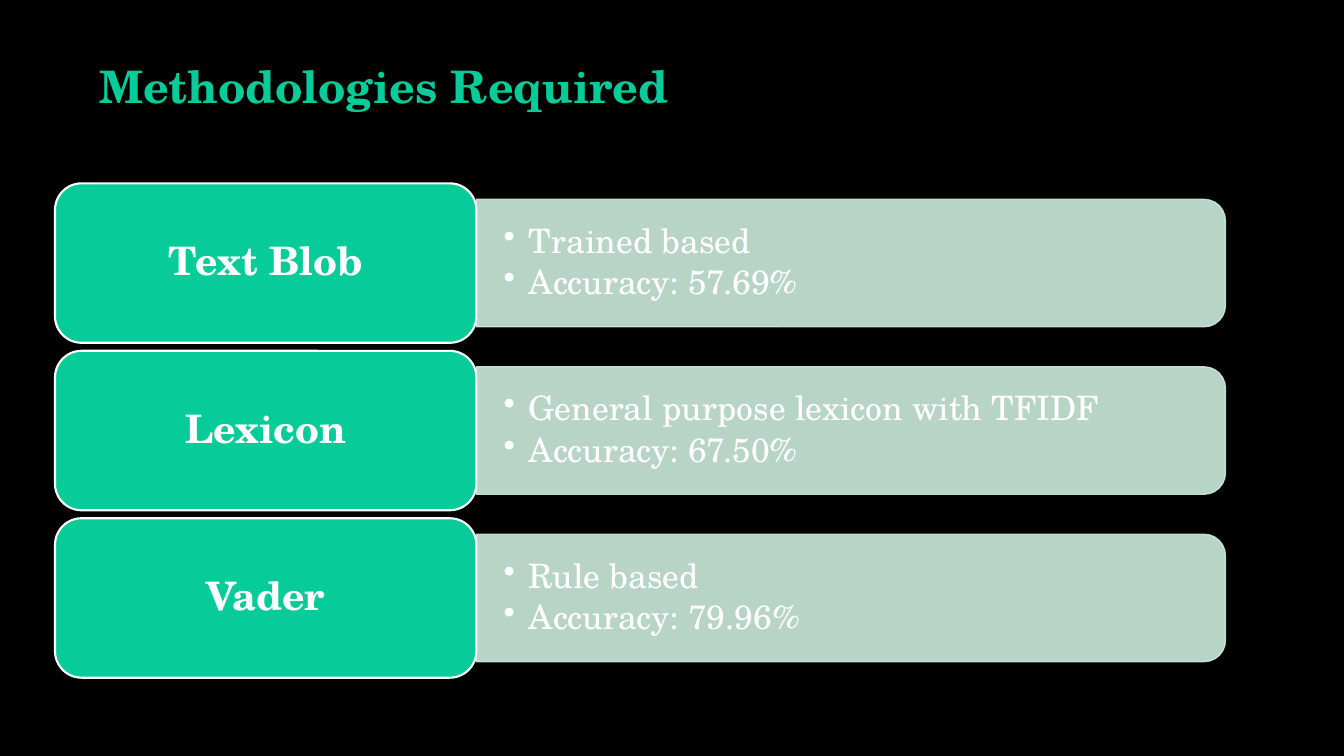
from pptx import Presentation
from pptx.dml.color import RGBColor
from pptx.enum import shapes, text
from pptx.oxml import ns
from pptx.util import Pt
from lxml import etree

FONT = "TeX Gyre Schola"
GREEN, MINT, WHITE, BLACK = "07CB98", "CCECDD", "FFFFFF", "000000"
METHODS = [
    ("Text Blob", ["Trained based", "Accuracy: 57.69%"]),
    ("Lexicon", ["General purpose lexicon with TFIDF", "Accuracy: 67.50%"]),
    ("Vader", ["Rule based", "Accuracy: 79.96%"]),
]
LABEL_LEFT, LABEL_WIDTH, LABEL_HEIGHT = 39.3, 301, 113.9
FIRST_TOP, ROW_PITCH = 131, 119.6
BAR_LEFT, BAR_WIDTH, BAR_HEIGHT = LABEL_LEFT + LABEL_WIDTH, 535, 91


def paint(color_format, color, opacity=100):
    """Set a solid fill's colour and opacity in percent."""
    color_format.solid()
    color_format.fore_color.rgb = RGBColor.from_string(color)
    if opacity < 100:
        color_element = color_format._xPr.find(ns.qn("a:solidFill"))[0]
        alpha = etree.SubElement(color_element, ns.qn("a:alpha"))
        alpha.set("val", str(opacity * 1000))


def add_block(slide, kind, box, fill, line, line_width, opacity=100):
    """Add a filled and outlined preset shape."""
    shape = slide.shapes.add_shape(kind, *map(Pt, box))
    shape.shadow.inherit = False
    paint(shape.fill, fill, opacity)
    paint(shape.line.fill, line, opacity)
    shape.line.width = Pt(line_width)
    return shape


def write(shape, lines, size, color, anchor, insets, space_after, bold=False,
          align=text.PP_ALIGN.LEFT):
    """Fill a shape with uniformly styled paragraphs and return them."""
    frame = shape.text_frame
    frame.word_wrap = True
    frame.vertical_anchor = anchor
    frame.margin_left = frame.margin_right = Pt(insets[0])
    frame.margin_top = frame.margin_bottom = Pt(insets[1])
    frame.text = "\n".join(lines)
    for paragraph in frame.paragraphs:
        paragraph.alignment = align
        paragraph.line_spacing = 0.9
        paragraph.space_after = Pt(space_after)
        paragraph.font.name = FONT
        paragraph.font.size = Pt(size)
        paragraph.font.bold = bold
        paragraph.font.color.rgb = RGBColor.from_string(color)
    return frame.paragraphs


def add_bullet(paragraph, indent):
    """Give a paragraph a hanging round bullet."""
    properties = paragraph._p.get_or_add_pPr()
    properties.set("marL", str(Pt(indent)))
    properties.set("indent", str(Pt(-indent)))
    bullet = etree.Element(ns.qn("a:buChar"), char="•")
    properties.find(ns.qn("a:defRPr")).addprevious(bullet)


def add_title(slide, title):
    """Add the slide heading."""
    shape = slide.shapes.add_textbox(Pt(64), Pt(0), Pt(756), Pt(84.2))
    write(shape, [title], 32, GREEN, text.MSO_ANCHOR.BOTTOM, (7.2, 3.6), 6, bold=True)


def add_details(slide, middle, details):
    """Add a bar rounded at its right end, with bullets on it."""
    turned_box = (BAR_LEFT + (BAR_WIDTH - BAR_HEIGHT) / 2, middle - BAR_WIDTH / 2,
                  BAR_HEIGHT, BAR_WIDTH)
    bar = add_block(slide, shapes.MSO_SHAPE.ROUND_2_SAME_RECTANGLE, turned_box,
                    MINT, MINT, 1, opacity=90)
    bar.rotation = 90
    height = 82
    box = (BAR_LEFT, middle - height / 2, BAR_WIDTH - 4, height)
    shape = slide.shapes.add_textbox(*map(Pt, box))
    for paragraph in write(shape, details, 24, WHITE, text.MSO_ANCHOR.MIDDLE,
                           (19.4, 10), 3.6):
        add_bullet(paragraph, 18)


def add_label(slide, top, name):
    """Add the rounded box that names a method."""
    box = (LABEL_LEFT, top, LABEL_WIDTH, LABEL_HEIGHT)
    shape = add_block(slide, shapes.MSO_SHAPE.ROUNDED_RECTANGLE, box, GREEN, WHITE, 1.5)
    write(shape, [name], 28, WHITE, text.MSO_ANCHOR.MIDDLE, (8.6, 4.3), 9.8,
          bold=True, align=text.PP_ALIGN.CENTER)


def main():
    """Build and save the slide."""
    presentation = Presentation()
    presentation.slide_width, presentation.slide_height = Pt(960), Pt(540)
    slide = presentation.slides.add_slide(presentation.slide_layouts[6])
    paint(slide.background.fill, BLACK)
    for row, (name, details) in enumerate(METHODS):
        top = FIRST_TOP + row * ROW_PITCH
        add_details(slide, top + LABEL_HEIGHT / 2, details)
        add_label(slide, top, name)
    add_title(slide, "Methodologies Required")
    presentation.save("out.pptx")


if __name__ == "__main__":
    main()
